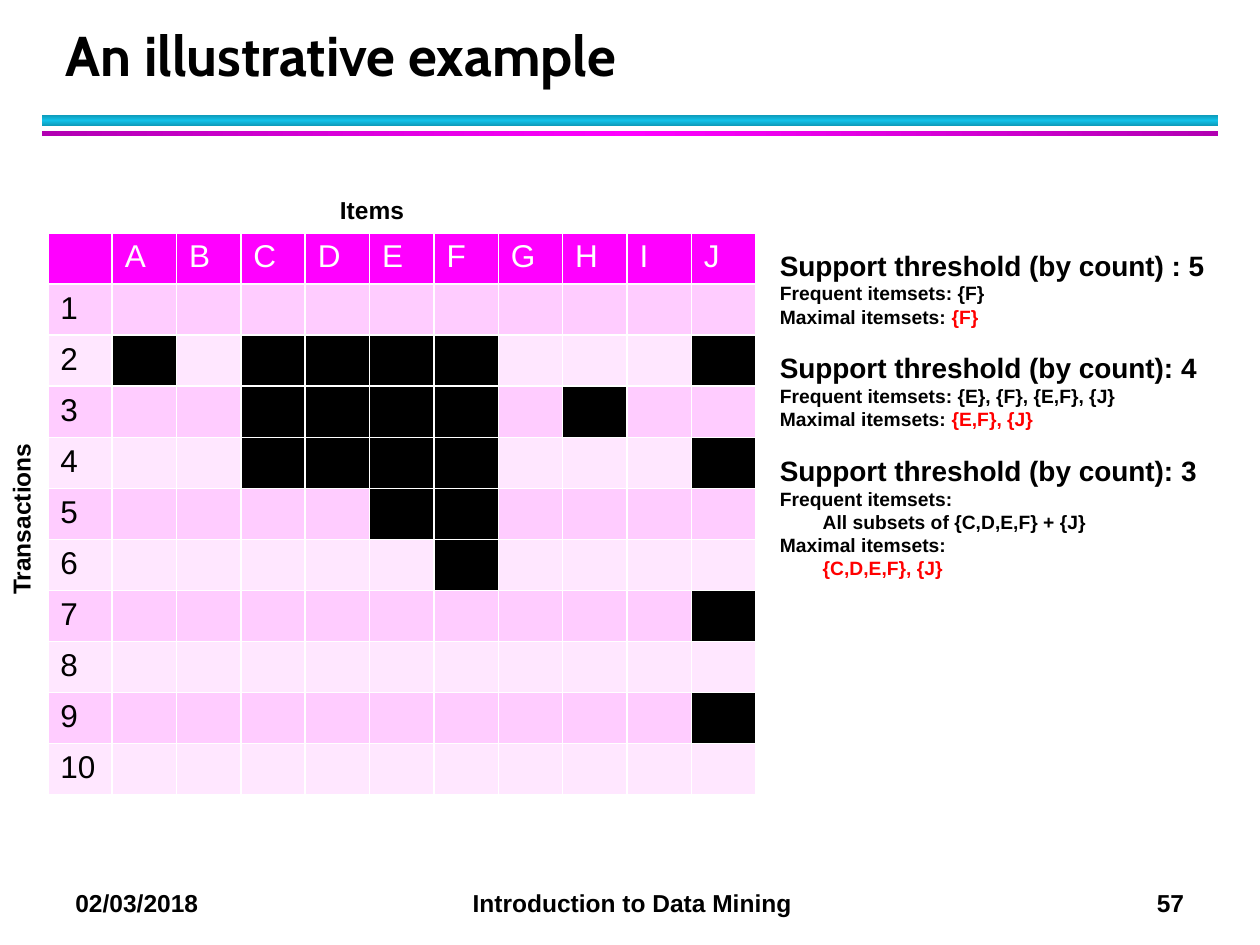
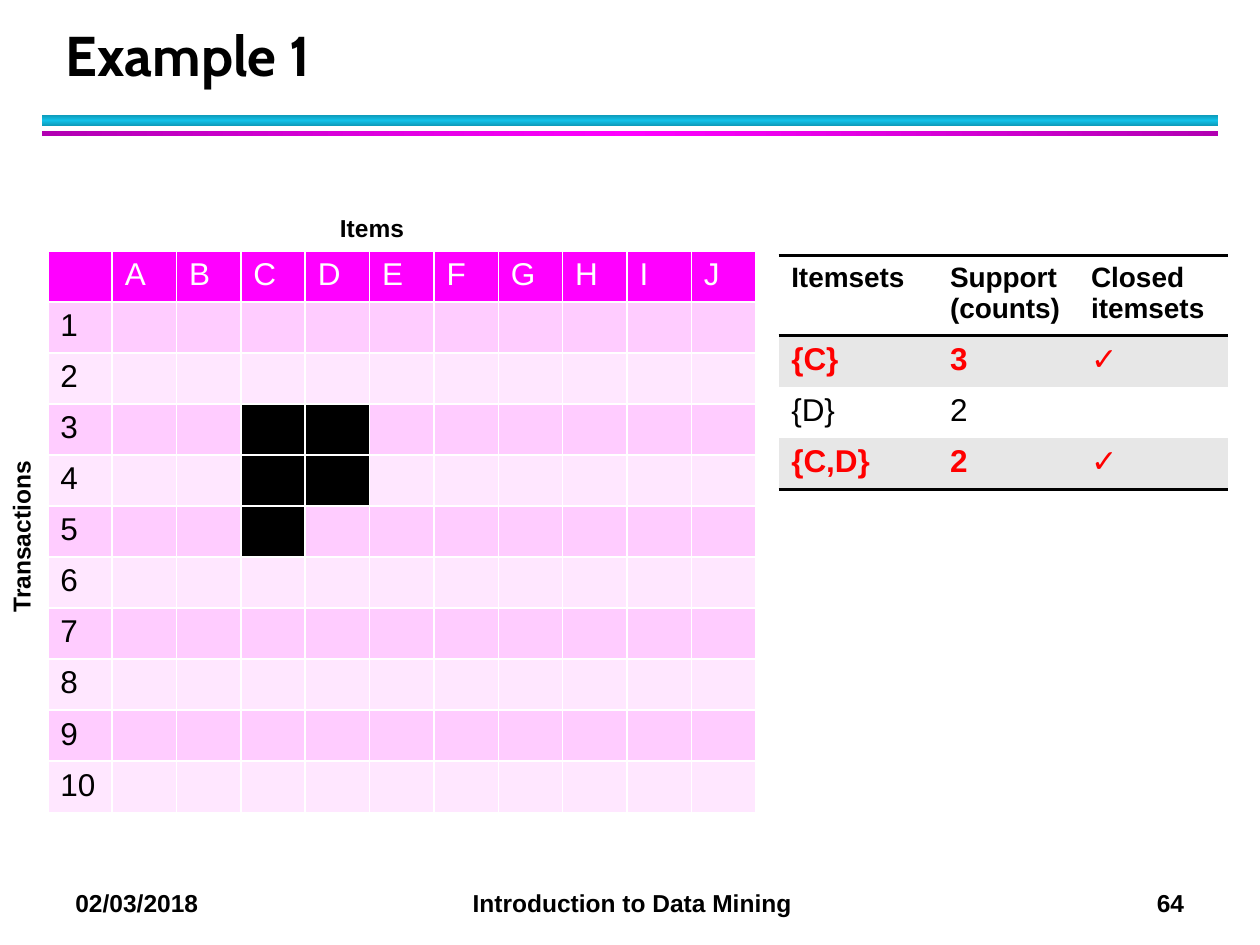
from copy import deepcopy

from lxml import etree
from pptx import Presentation
from pptx import util as u
from pptx.dml.color import RGBColor
from pptx.enum import shapes, text
from pptx.oxml import ns

BLACK = RGBColor(0x00, 0x00, 0x00)
WHITE = RGBColor(0xFF, 0xFF, 0xFF)
RED = RGBColor(0xFF, 0x00, 0x00)
GREY = RGBColor(0xE7, 0xE7, 0xE7)
MAGENTA = RGBColor(0xFF, 0x00, 0xFF)
DARK_MAGENTA = RGBColor(0xB2, 0x00, 0xB2)
CYAN = RGBColor(0x12, 0xC2, 0xE9)
DARK_CYAN = RGBColor(0x0E, 0x9B, 0xBA)
PINK = RGBColor(0xFF, 0xCC, 0xFF)
PALE_PINK = RGBColor(0xFF, 0xE7, 0xFF)

COLUMNS, ROWS = 100, 75  # the layout grid of every slide
ITEMS = "ABCDEFGHIJ"
TRANSACTIONS = 10


class Deck:
    """Shared style plus the slide being built; lengths are grid columns and rows."""

    title_font, body_font = "Cabin", "Arial"

    def __init__(self):
        self.prs = Presentation()
        self.prs.slide_width, self.prs.slide_height = u.Inches(10), u.Inches(7.5)
        self.slide = None

    def x(self, columns):
        return round(self.prs.slide_width * columns / COLUMNS)

    def y(self, rows):
        return round(self.prs.slide_height * rows / ROWS)

    def box(self, left, top, width, height):
        return self.x(left), self.y(top), self.x(width), self.y(height)

    def run(self, paragraph, words, size, color=BLACK, bold=True, font=None):
        run = paragraph.add_run()
        run.text = words
        run.font.name = font or self.body_font
        run.font.size = u.Pt(size)
        run.font.bold = bold
        run.font.color.rgb = color

    # Frame shared by all slides
    def new_slide(self, title, number):
        self.slide = self.prs.slides.add_slide(self.prs.slide_layouts[5])
        self.bar((3.33, 9.15, 93.33, 0.83), DARK_CYAN, CYAN, 90)
        self.bar((3.33, 10.4, 93.33, 0.4), DARK_MAGENTA, MAGENTA, 0)
        self.title(title)
        self.footer(number)

    def title(self, words):
        heading = self.slide.shapes.title
        heading.left, heading.top, heading.width, heading.height = self.box(4.2, 1.7, 90.6, 5.8)
        frame = heading.text_frame
        frame.auto_size = text.MSO_AUTO_SIZE.NONE
        frame.vertical_anchor = text.MSO_ANCHOR.BOTTOM
        line = frame.paragraphs[0]
        line.alignment = text.PP_ALIGN.LEFT
        line.line_spacing = u.Pt(36)
        self.run(line, words, 32, font=self.title_font)

    def bar(self, place, edge, middle, angle):
        bar = self.slide.shapes.add_shape(shapes.MSO_SHAPE.RECTANGLE, *self.box(*place))
        bar.shadow.inherit = False
        bar.line.fill.background()
        bar.fill.gradient()
        bar.fill.gradient_angle = angle
        stops = bar._element.spPr.find(".//" + ns.qn("a:gsLst"))
        stops.append(deepcopy(stops[0]))
        for stop, position, color in zip(bar.fill.gradient_stops, (0, 0.5, 1), (edge, middle, edge)):
            stop.position = position
            stop.color.rgb = color

    def footer(self, number):
        line = self.label("02/03/2018\tIntroduction to Data Mining\t" + str(number), (5, 70, 93.3, 3.4))
        tabs = etree.SubElement(line._p.get_or_add_pPr(), ns.qn("a:tabLst"))
        for columns, alignment in ((44.2, "ctr"), (88, "r")):
            etree.SubElement(tabs, ns.qn("a:tab"), pos=str(self.x(columns)), algn=alignment)

    # Text
    def text_box(self, place, rotation=0):
        box = self.slide.shapes.add_textbox(*self.box(*place))
        box.rotation = rotation
        box.text_frame.word_wrap = True
        return box.text_frame

    def label(self, words, place, rotation=0):
        line = self.text_box(place, rotation).paragraphs[0]
        self.run(line, words, 14)
        return line

    def threshold_notes(self, place, sections):
        frame = self.text_box(place)
        for index, (heading, lines) in enumerate(sections):
            line = frame.add_paragraph() if index else frame.paragraphs[0]
            line.space_before = u.Pt(13 if index else 0)
            self.run(line, heading, 16)
            for indented, pieces in lines:
                line = frame.add_paragraph()
                if indented:
                    line._p.get_or_add_pPr().set("marL", str(self.x(3.4)))
                for words, color in pieces:
                    self.run(line, words, 11, color)

    # Tables
    def table(self, place, row_heights, column_widths):
        table = self.slide.shapes.add_table(
            len(row_heights), len(column_widths), *self.box(*place)).table
        table.first_row = table.horz_banding = False
        for row, height in zip(table.rows, row_heights):
            row.height = self.y(height)
        for column, width in zip(table.columns, column_widths):
            column.width = self.x(width)
        return table

    def cell(self, cell, fill, lines=(), size=18, color=BLACK, bold=False, borders=None):
        cell.fill.solid()
        cell.fill.fore_color.rgb = fill
        for index, words in enumerate(lines):
            frame = cell.text_frame
            line = frame.add_paragraph() if index else frame.paragraphs[0]
            self.run(line, words, size, color, bold)
        properties = cell._tc.get_or_add_tcPr()
        for index, side in enumerate("LRTB"):
            line_color, width = (borders or {}).get(side, (None, 0))
            edge = etree.Element(ns.qn("a:ln" + side), w=str(u.Pt(width)))
            if line_color is None:
                etree.SubElement(edge, ns.qn("a:noFill"))
            else:
                solid = etree.SubElement(edge, ns.qn("a:solidFill"))
                etree.SubElement(solid, ns.qn("a:srgbClr"), val=str(line_color))
            properties.insert(index, edge)

    def transaction_grid(self, top, contents):
        """Draw the item grid; contents maps a transaction to the items it holds."""
        width, height = 56.2, 44.6
        rows, columns = TRANSACTIONS + 1, len(ITEMS) + 1
        table = self.table((3.8, top, width, height), [height / rows] * rows, [width / columns] * columns)
        white_edges = dict.fromkeys("LRTB", (WHITE, 1))
        for column, item in enumerate(" " + ITEMS):
            self.cell(table.cell(0, column), MAGENTA, [item] if column else [],
                      color=WHITE, borders=white_edges)
        for row in range(1, rows):
            band = PINK if row % 2 else PALE_PINK
            self.cell(table.cell(row, 0), band, [str(row)], borders=white_edges)
            for column, item in enumerate(ITEMS, 1):
                held = item in contents.get(row, "")
                self.cell(table.cell(row, column), BLACK if held else band, borders=white_edges)
        self.label("Items", (26, top - 3.5, 7.7, 4))
        self.label("Transactions", (-5.4, top + 20.3, 14.8, 4), rotation=270)

    def itemset_table(self, place, headings, itemsets):
        table = self.table(place, [6.35] + [4.06] * len(itemsets), [12.6, 11.2, 11.9])
        rule = (BLACK, 2)
        for column, lines in enumerate(headings):
            self.cell(table.cell(0, column), WHITE, lines, 16, bold=True,
                      borders={"T": rule, "B": rule})
        for row, (itemset, support, closed) in enumerate(itemsets, 1):
            borders = {"T": rule} if row == 1 else {"B": rule} if row == len(itemsets) else {}
            for column, words in enumerate((itemset, support, "✓" if closed else "")):
                self.cell(table.cell(row, column), GREY if row % 2 else WHITE,
                          [words] if words else [], color=RED if closed else BLACK,
                          bold=closed, borders=borders)


def short_section(heading, frequent, maximal):
    return heading, [
        (False, [("Frequent itemsets: " + frequent, BLACK)]),
        (False, [("Maximal itemsets: ", BLACK), (maximal, RED)]),
    ]


def main():
    deck = Deck()

    # Frequent and maximal itemsets
    deck.new_slide("An illustrative example", 57)
    deck.threshold_notes((60.9, 19.2, 36.2, 28.3), [
        short_section("Support threshold (by count) : 5", "{F}", "{F}"),
        short_section("Support threshold (by count): 4", "{E}, {F}, {E,F}, {J}", "{E,F}, {J}"),
        ("Support threshold (by count): 3", [
            (False, [("Frequent itemsets:", BLACK)]),
            (True, [("All subsets of {C,D,E,F} + {J}", BLACK)]),
            (False, [("Maximal itemsets:", BLACK)]),
            (True, [("{C,D,E,F}, {J}", RED)]),
        ]),
    ])
    deck.transaction_grid(18.5, {2: "ACDEFJ", 3: "CDEFH", 4: "CDEFJ", 5: "EF", 6: "F", 7: "J", 9: "J"})

    # Closed itemsets
    deck.new_slide("Example 1", 64)
    deck.transaction_grid(19.9, {3: "CD", 4: "CD", 5: "C"})
    deck.itemset_table(
        (61.8, 20.3, 35.7, 18.5),
        [["Itemsets"], ["Support", "(counts)"], ["Closed itemsets"]],
        [("{C}", "3", True), ("{D}", "2", False), ("{C,D}", "2", True)])

    deck.prs.save("out.pptx")


if __name__ == "__main__":
    main()
